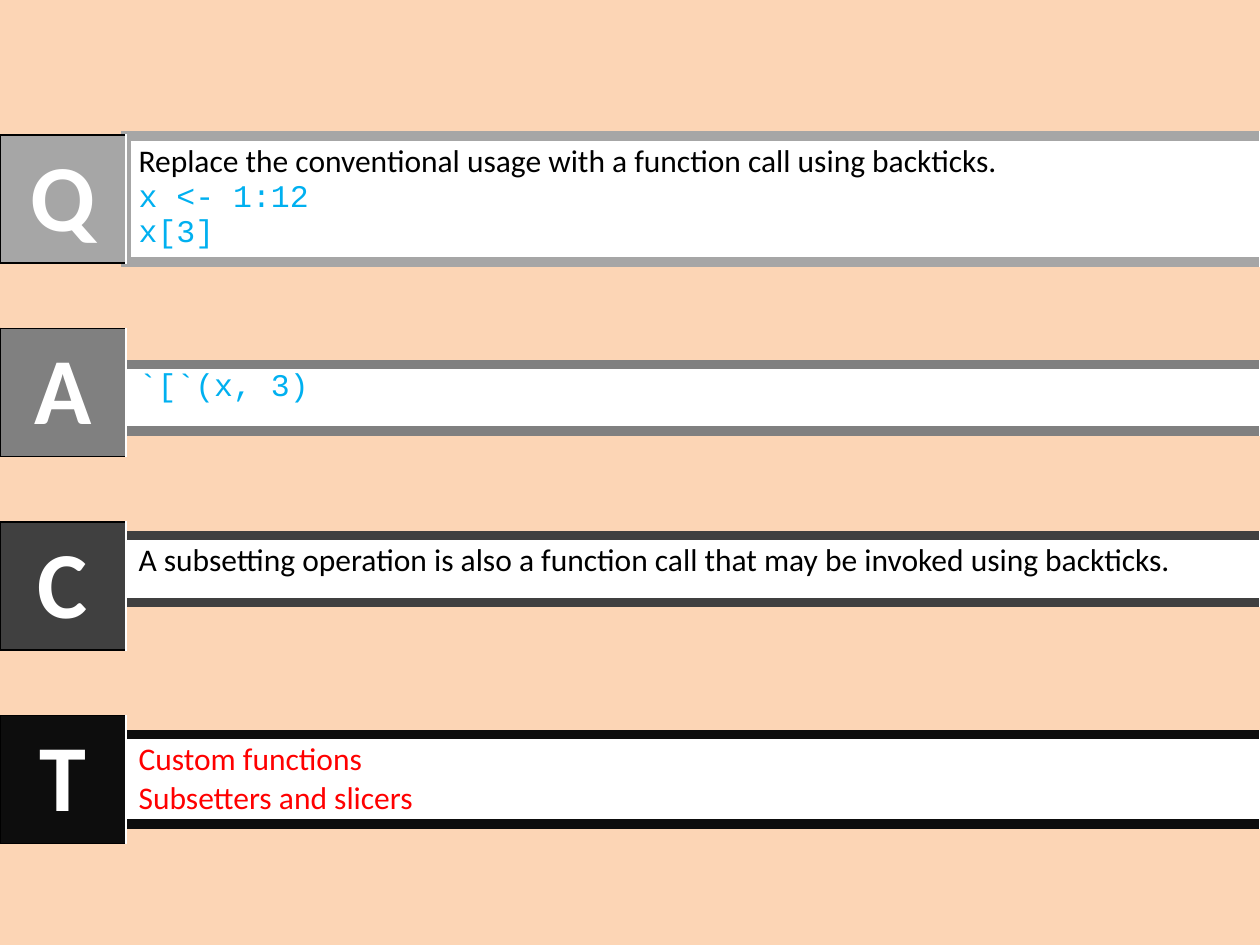
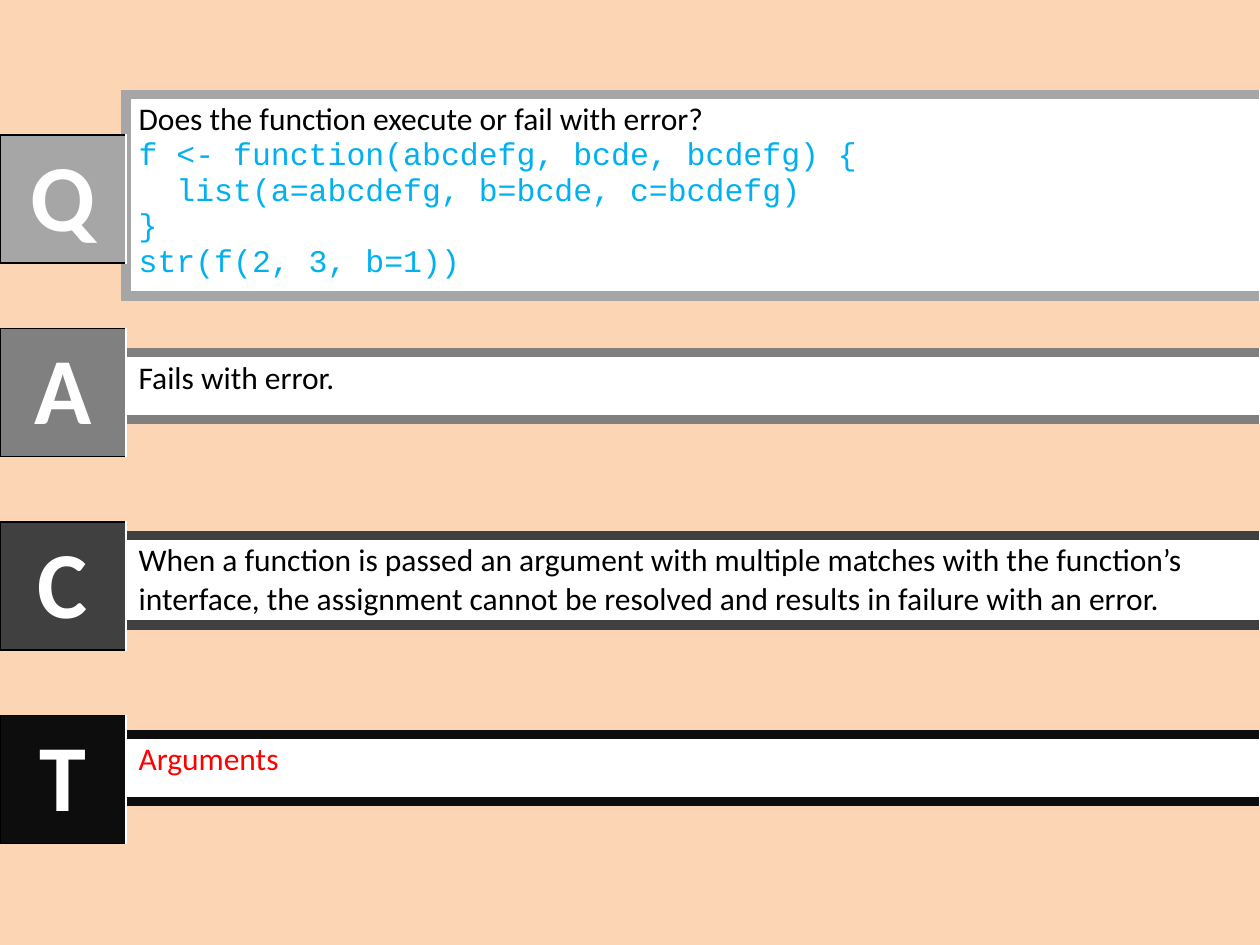
from dataclasses import dataclass

from lxml.etree import SubElement
from pptx import Presentation
from pptx.dml.color import RGBColor
from pptx.enum.text import MSO_ANCHOR, PP_ALIGN
from pptx.oxml.ns import qn
from pptx.util import Inches, Pt


@dataclass(frozen=True)
class Theme:
    background: str = "FCD5B5"
    paper: str = "FFFFFF"
    outline: str = "000000"
    prose: str = "000000"
    code: str = "00B0F0"
    topic: str = "FF0000"
    prose_font: str = "Calibri"
    code_font: str = "Courier New"
    panel_size: int = 18
    badge_size: int = 54
    thin: int = 1
    thick: int = 6


THEME = Theme()
SECTION_SHADES = {"Q": "A6A6A6", "A": "808080", "C": "404040", "T": "0D0D0D"}
BADGE_SIDE = 1
FIRST_BADGE_TOP, LAST_BADGE_TOP = 1.07, 5.68
BADGE_PITCH = (LAST_BADGE_TOP - FIRST_BADGE_TOP) / (len(SECTION_SHADES) - 1)
PANEL_WIDTH = 9

# Text styles: font and colour
PROSE = (THEME.prose_font, THEME.prose)
CODE = (THEME.code_font, THEME.code)
TOPIC = (THEME.prose_font, THEME.topic)

# Each section: top and height of its panel, then its lines
CARDS = [
    {
        "Q": (1.08, 1, [
            ("Replace the conventional usage with a function call using backticks.", PROSE),
            ("x <- 1:12", CODE),
            ("x[3]", CODE),
        ]),
        "A": (2.89, 0.53, [("`[`(x, 3)", CODE)]),
        "C": (4.25, 0.53, [
            ("A subsetting operation is also a function call that may be "
             "invoked using backticks.", PROSE),
        ]),
        "T": (5.83, 0.7, [("Custom functions", TOPIC), ("Subsetters and slicers", TOPIC)]),
    },
    {
        "Q": (0.75, 1.6, [
            ("Does the function execute or fail with error?", PROSE),
            ("f <- function(abcdefg, bcde, bcdefg) {", CODE),
            ("  list(a=abcdefg, b=bcde, c=bcdefg)", CODE),
            ("}", CODE),
            ("str(f(2, 3, b=1))", CODE),
        ]),
        "A": (2.8, 0.53, [("Fails with error.", PROSE)]),
        "C": (4.25, 0.7, [
            ("When a function is passed an argument with multiple matches with "
             "the function’s interface, the assignment cannot be resolved and "
             "results in failure with an error.", PROSE),
        ]),
        "T": (5.83, 0.53, [("Arguments", TOPIC)]),
    },
]


def set_borders(cell, left, right, top, bottom):
    """Draw the four cell borders, each given as (colour, points)."""
    properties = cell._tc.get_or_add_tcPr()
    sides = zip(("L", "R", "T", "B"), (left, right, top, bottom))
    for position, (side, (colour, points)) in enumerate(sides):
        line = SubElement(properties, qn(f"a:ln{side}"), w=str(Pt(points)))
        fill = SubElement(line, qn("a:solidFill"))
        SubElement(fill, qn("a:srgbClr"), val=colour)
        properties.insert(position, line)  # borders come before the cell fill


def add_box(slide, left, top, width, height, fill):
    """Add a one-cell table and return its cell."""
    table = slide.shapes.add_table(
        1, 1, Inches(left), Inches(top), Inches(width), Inches(height)
    ).table
    table.first_row = table.horz_banding = False
    cell = table.cell(0, 0)
    cell.fill.solid()
    cell.fill.fore_color.rgb = RGBColor.from_string(fill)
    return cell


def write_line(paragraph, text, style, size, bold=False):
    paragraph.text = text
    font = paragraph.font
    font.name, colour = style
    font.color.rgb = RGBColor.from_string(colour)
    font.size = Pt(size)
    font.bold = bold


def add_panel(slide, letter, top, height, lines):
    cell = add_box(slide, BADGE_SIDE, top, PANEL_WIDTH, height, THEME.paper)
    band = (SECTION_SHADES[letter], THEME.thick)
    edge = (THEME.paper, THEME.thin)
    set_borders(cell, band if letter == "Q" else edge, edge, band, band)
    frame = cell.text_frame
    for number, (text, style) in enumerate(lines):
        paragraph = frame.add_paragraph() if number else frame.paragraphs[0]
        write_line(paragraph, text, style, THEME.panel_size)


def add_badge(slide, letter, top):
    cell = add_box(slide, 0, top, BADGE_SIDE, BADGE_SIDE, SECTION_SHADES[letter])
    outline = (THEME.outline, THEME.thin)
    set_borders(cell, outline, (THEME.paper, THEME.thin), outline, outline)
    cell.vertical_anchor = MSO_ANCHOR.MIDDLE
    paragraph = cell.text_frame.paragraphs[0]
    paragraph.alignment = PP_ALIGN.CENTER
    write_line(paragraph, letter, (THEME.prose_font, THEME.paper), THEME.badge_size, bold=True)


def add_card(presentation, sections):
    slide = presentation.slides.add_slide(presentation.slide_layouts[6])
    for letter, (top, height, lines) in sections.items():
        add_panel(slide, letter, top, height, lines)
    for index, letter in enumerate(SECTION_SHADES):
        add_badge(slide, letter, FIRST_BADGE_TOP + index * BADGE_PITCH)


def main():
    presentation = Presentation()
    presentation.slide_width = Inches(10)
    presentation.slide_height = Inches(7.5)
    backdrop = presentation.slide_master.background.fill
    backdrop.solid()
    backdrop.fore_color.rgb = RGBColor.from_string(THEME.background)
    for sections in CARDS:
        add_card(presentation, sections)
    presentation.save("out.pptx")


if __name__ == "__main__":
    main()
